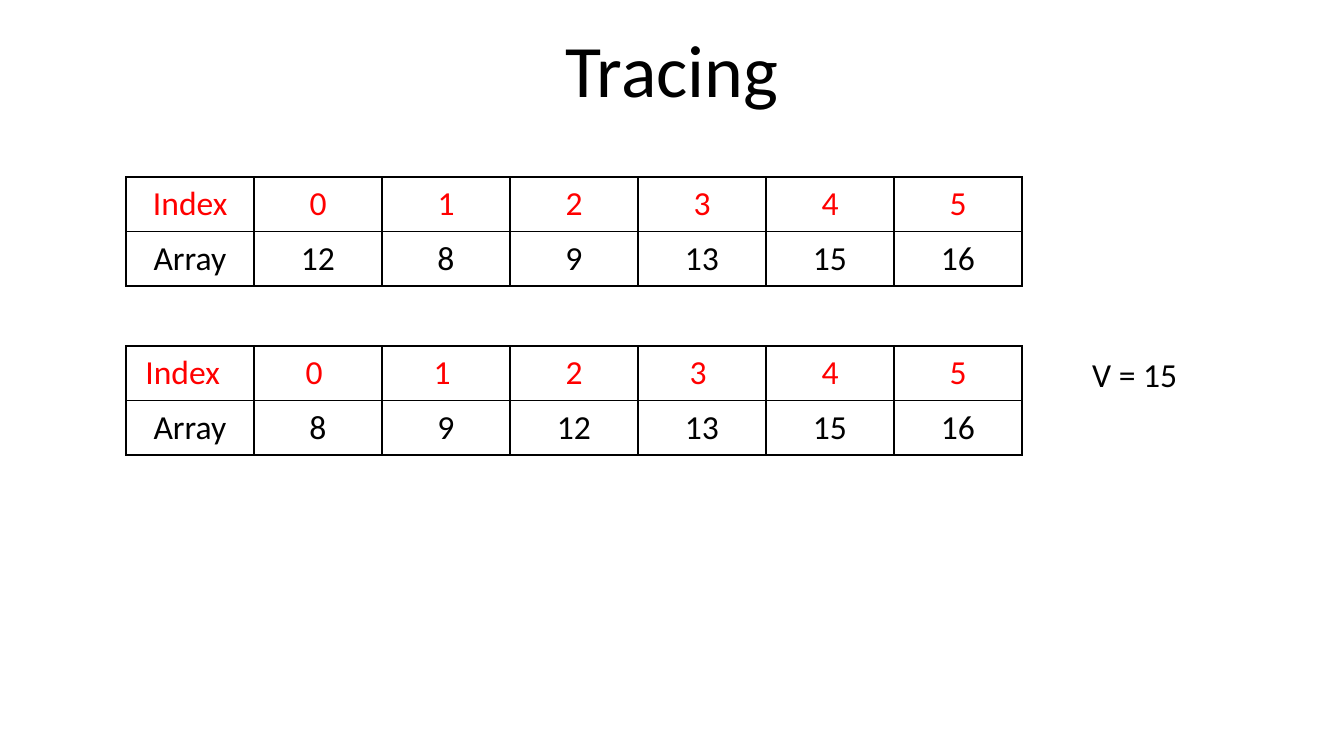
from lxml.etree import SubElement as Sub
from pptx import Presentation
from pptx.dml.color import RGBColor
from pptx.enum.text import MSO_ANCHOR as Anchor, MSO_AUTO_SIZE as Fit, PP_ALIGN as Align
from pptx.oxml.ns import qn
from pptx.util import Emu, Pt

BLACK = RGBColor(0, 0, 0)
RED = RGBColor(255, 0, 0)
FONT = "Calibri"
INSET = 13
INDEX = ["Index", "0", "1", "2", "3", "4", "5"]


def px(n):
    return Emu(round(n * 914400 / 134.4))


def style(frame, size, color, align):
    para = frame.paragraphs[0]
    para.alignment = align
    for run in para.runs:
        run.font.name = FONT
        run.font.size = Pt(size)
        run.font.color.rgb = color


def place(shape, box):
    shape.left, shape.top, shape.width, shape.height = map(px, box)


def border(cell):
    props = cell._tc.get_or_add_tcPr()
    for at, side in enumerate(("a:lnL", "a:lnR", "a:lnT", "a:lnB")):
        line = props.makeelement(qn(side), {"w": str(Pt(1))})
        fill = Sub(line, qn("a:solidFill"))
        Sub(fill, qn("a:srgbClr"), val=str(BLACK))
        props.insert(at, line)


def add_title(slide, box, text):
    title = slide.shapes.title
    place(title, box)
    frame = title.text_frame
    frame.text = text
    frame.auto_size = Fit.NONE
    frame.vertical_anchor = Anchor.MIDDLE
    style(frame, 39.6, BLACK, Align.CENTER)


def add_array(slide, box, values, pads):
    rows = [INDEX, ["Array"] + values]
    count = len(INDEX)
    table = slide.shapes.add_table(len(rows), count, *map(px, box)).table
    table.first_row = table.horz_banding = False
    for col in table.columns:
        col.width = px(box[2] // count)
    for r, (row, color) in enumerate(zip(rows, (RED, BLACK))):
        table.rows[r].height = px(box[3] / len(rows))
        for c, text in enumerate(row):
            cell = table.cell(r, c)
            cell.text = text
            cell.fill.background()
            if r == 0:
                cell.margin_right = px(INSET + pads.get(c, 0))
            border(cell)
            style(cell.text_frame, 18, color, Align.CENTER)


def add_note(slide, box, text):
    frame = slide.shapes.add_textbox(*map(px, box)).text_frame
    frame.text = text
    frame.word_wrap = True
    frame.auto_size = Fit.SHAPE_TO_FIT_TEXT
    style(frame, 18, BLACK, Align.LEFT)


def main():
    deck = Presentation()
    deck.slide_width, deck.slide_height = px(1344), px(756)
    slide = deck.slides.add_slide(deck.slide_layouts[5])
    add_title(slide, (67, 31, 1210, 73), "Tracing")
    add_array(slide, (126, 177, 896, 109), ["12", "8", "9", "13", "15", "16"], {})
    add_array(slide, (126, 346, 896, 109), ["8", "9", "12", "13", "15", "16"],
              {0: 15, 1: 8, 2: 8, 4: 8})
    add_note(slide, (1079, 347, 117, 54), "V = 15")
    deck.save("out.pptx")


if __name__ == "__main__":
    main()
